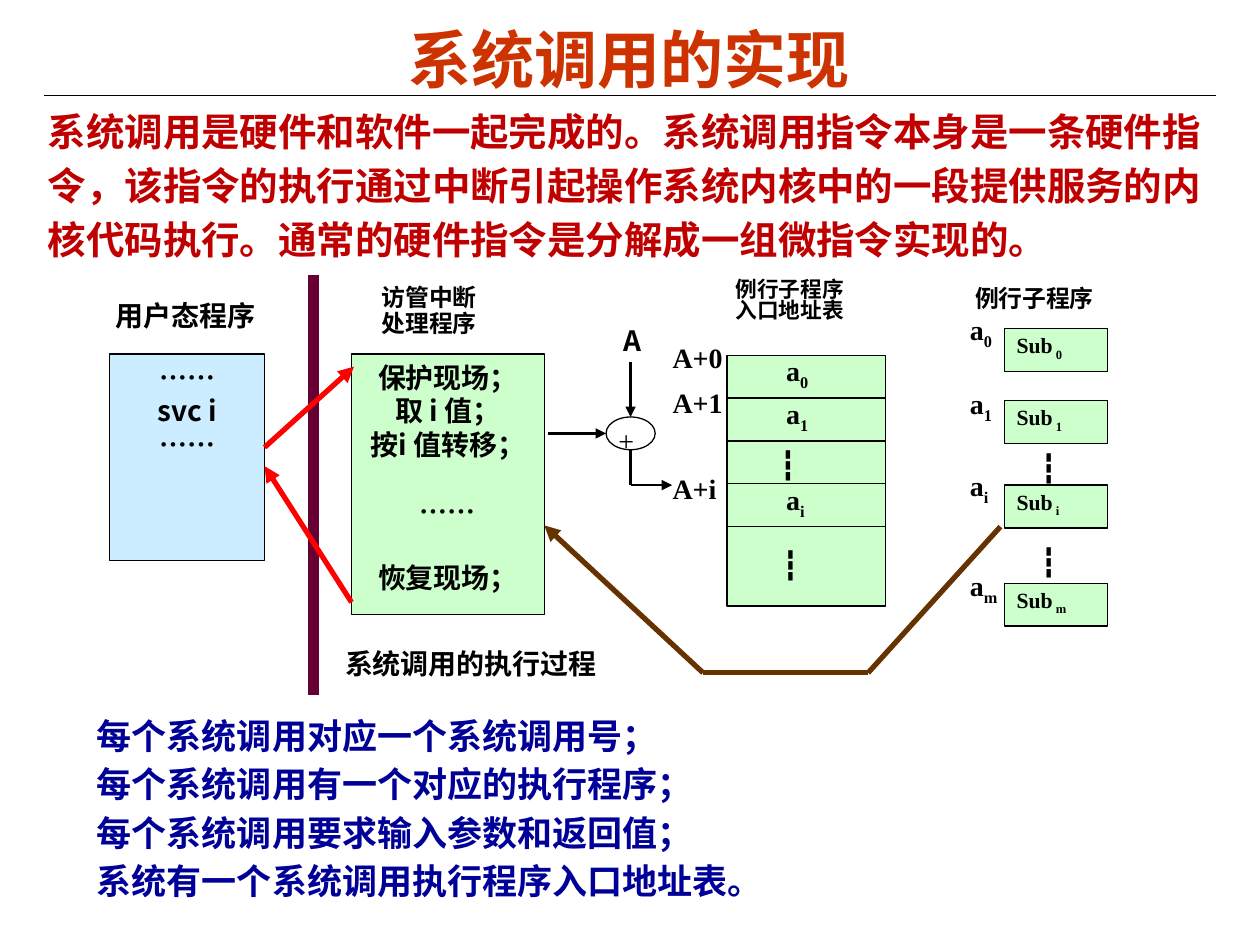
from pptx import Presentation
from pptx.dml.color import RGBColor
from pptx.enum.shapes import MSO_CONNECTOR as Link, MSO_SHAPE as Preset
from pptx.enum.text import MSO_ANCHOR as Anchor, PP_ALIGN as Align
from pptx.oxml.ns import qn
from pptx.util import Inches, Pt
from lxml.etree import SubElement

COLORS = {
    "black": "000000", "white": "FFFFFF", "title": "CC3300", "intro": "C00000",
    "points": "000099", "green": "CCFFCC", "blue": "CCECFF", "divider": "660033",
    "trap": "FF0000", "back": "663300",
}
SANS = "Noto Sans CJK SC"
SERIF = "Times New Roman"


def rgb(name):
    return RGBColor.from_string(COLORS[name])


def write(shape, lines, size=16, font=SANS, color="black", bold=True, align=Align.LEFT,
          inset=(0.1, 0.05), anchor=Anchor.TOP, wrap=True, before=None, gaps=None, spacing=None):
    frame = shape.text_frame
    across, down = Inches(inset[0]), Inches(inset[1])
    frame_format = {
        "word_wrap": wrap, "vertical_anchor": anchor, "margin_left": across,
        "margin_right": across, "margin_top": down, "margin_bottom": down,
    }
    for key, value in frame_format.items():
        setattr(frame, key, value)
    for index, line in enumerate(lines):
        paragraph = frame.paragraphs[0] if index == 0 else frame.add_paragraph()
        gap = (gaps or {}).get(index, before)
        paragraph_format = {
            "alignment": align, "line_spacing": spacing,
            "space_before": None if gap is None else Pt(gap),
        }
        for key, value in paragraph_format.items():
            setattr(paragraph, key, value)
        base, _, subscript = line.partition("_")
        for part in filter(None, (base, subscript)):
            run = paragraph.add_run()
            run.text = part
            for key, value in {"size": Pt(size), "name": font, "bold": bold}.items():
                setattr(run.font, key, value)
            run.font.color.rgb = rgb(color)
            properties = run._r.get_or_add_rPr()
            SubElement(properties, qn("a:ea")).set("typeface", SANS)
            if part is subscript:
                properties.set("baseline", "-25000")


def label(slide, left, top, width, height, lines, **style):
    box = slide.shapes.add_textbox(Inches(left), Inches(top), Inches(width), Inches(height))
    write(box, lines, **style)


def block(slide, left, top, width, height, fill, preset=Preset.RECTANGLE):
    shape = slide.shapes.add_shape(
        preset, Inches(left), Inches(top), Inches(width), Inches(height))
    shape.shadow.inherit = False
    shape.fill.solid()
    shape.fill.fore_color.rgb = rgb(fill)
    shape.line.color.rgb = rgb("black")
    shape.line.width = Pt(0.75)
    return shape


def link(slide, start, end, color="black", width=0.75, arrow=False):
    line = slide.shapes.add_connector(
        Link.STRAIGHT, *(Inches(value) for value in (*start, *end)))
    line.line.color.rgb = rgb(color)
    line.line.width = Pt(width)
    if arrow:
        SubElement(line.line._get_or_add_ln(), qn("a:tailEnd")).set("type", "triangle")
    SubElement(line._element.spPr, qn("a:effectLst"))


def heading(slide, left, top, width, height):
    link(slide, (left - 0.02, top + 0.65), (left + width + 0.03, top + 0.65))
    label(slide, left, top, width, height, ["系统调用的实现"], size=36, color="title",
          align=Align.CENTER, anchor=Anchor.MIDDLE)


def introduction(slide, left, top, width, height):
    label(slide, left, top, width, height, [
        "系统调用是硬件和软件一起完成的。系统调用指令本身是一条硬件指",
        "令，该指令的执行通过中断引起操作系统内核中的一段提供服务的内",
        "核代码执行。通常的硬件指令是分解成一组微指令实现的。",
    ], size=22, color="intro", inset=(0.11, 0.06), wrap=False, before=4.5)


def key_points(slide, left, top, width, height):
    label(slide, left, top, width, height, [
        "每个系统调用对应一个系统调用号；",
        "每个系统调用有一个对应的执行程序；",
        "每个系统调用要求输入参数和返回值；",
        "系统有一个系统调用执行程序入口地址表。",
    ], size=20, color="points", before=3.7)


def user_program(slide, left, top, width, height):
    label(slide, left - 0.05, top - 0.49, width + 0.1, 0.37, ["用户态程序"], wrap=False)
    program = block(slide, left, top, width, height, "blue")
    write(program, ["……", "svc i", "……"], align=Align.CENTER, gaps={0: 19})


def trap_handler(slide, left, top, width, height):
    label(slide, left + 0.14, top - 0.59, 1.15, 0.59, ["访管中断", "处理程序"],
          size=13.6, spacing=0.9)
    handler = block(slide, left, top, width, height, "green")
    write(handler, ["保护现场；", "取 i 值；", "按i 值转移；", "……", "恢复现场；"],
          align=Align.CENTER, gaps={3: 19, 4: 19})
    label(slide, left - 0.15, top + 2.27, 2.85, 0.37, ["系统调用的执行过程"], font=SERIF)


def address_adder(slide, left, top, width, height):
    center, middle, bottom = left + width / 2, top + height / 2, top + height
    block(slide, left, top, width, height, "white", Preset.OVAL)
    label(slide, left, top, 0.49, 0.39, ["+"], font=SERIF, bold=False)
    label(slide, left + 0.04, top - 0.79, 0.41, 0.37, ["A"], wrap=False)
    link(slide, (center, top - 0.44), (center, top), width=1.5, arrow=True)
    link(slide, (left - 0.46, middle), (left, middle), width=1.5, arrow=True)
    link(slide, (center, bottom), (center, bottom + 0.28), width=1.5)
    link(slide, (center, bottom + 0.28), (center + 0.33, bottom + 0.28), width=1.5, arrow=True)


def entry_table(slide, left, top, width, height):
    row = 0.34
    label(slide, left - 0.03, top - 0.64, 1.57, 0.57, ["例行子程序", "入口地址表"],
          size=12.4, spacing=0.8)
    block(slide, left, top, width, height, "green")
    for index in range(1, 5):
        link(slide, (left, top + index * row), (left + width, top + index * row))
    for index, entry in {0: "a_0", 1: "a_1", 3: "a_i"}.items():
        label(slide, left + 0.37, top - 0.06 + index * row, 0.49, 0.41, [entry], font=SERIF)
    for across, down in ((0.32, 0.68), (0.34, 1.48)):
        label(slide, left + across, top + down, 0.4, 0.37, ["┇"], font=SERIF)
    for address, down in {"A+0": -0.17, "A+1": 0.19, "A+i": 0.87}.items():
        label(slide, left - 0.53, top + down, 0.74, 0.37, [address], font=SERIF, wrap=False)


def routines(slide, left, top, width, height):
    label(slide, left - 0.33, top - 0.38, 1.64, 0.34, ["例行子程序"], size=13.6, spacing=0.9)
    places = {"0": (0, -0.18), "1": (0.57, -0.16), "i": (1.24, -0.18), "m": (2.02, -0.17)}
    for name, (down, shift) in places.items():
        routine = block(slide, left, top + down, width, height, "green")
        write(routine, [f"Sub_ {name}"], size=12.4, font=SERIF, spacing=0.8)
        label(slide, left - 0.37, top + down + shift, 0.53, 0.41, [f"a_{name}"],
              font=SERIF, wrap=False)
    for down in (0.92, 1.66):
        label(slide, left + 0.19, top + down, 0.43, 0.37, ["┇"], font=SERIF, bold=False)


def control_flow(slide, left, top, width, height):
    right, bottom = left + width, top + height
    divider = left + 0.39
    link(slide, (divider, top), (divider, top + 3.34), "divider", 6)
    link(slide, (left, top + 1.37), (left + 0.71, top + 0.73), "trap", 3, True)
    link(slide, (left + 0.69, top + 2.6), (left, top + 1.52), "trap", 3, True)
    link(slide, (right, top + 2), (right - 1.05, bottom), "back", 3)
    link(slide, (right - 1.05, bottom), (left + 3.48, bottom), "back", 3)
    link(slide, (left + 3.48, bottom), (left + 2.22, top + 1.99), "back", 3, True)


def main():
    deck = Presentation()
    deck.slide_width, deck.slide_height = Inches(10), Inches(7.5)
    slide = deck.slides.add_slide(deck.slide_layouts[6])
    heading(slide, 0.37, 0.11, 9.25, 0.7)
    introduction(slide, 0.27, 0.8, 9.4, 1.34)
    key_points(slide, 0.67, 5.62, 8.5, 1.72)
    entry_table(slide, 5.77, 2.82, 1.26, 1.99)
    trap_handler(slide, 2.79, 2.81, 1.53, 2.07)
    user_program(slide, 0.87, 2.81, 1.23, 1.64)
    address_adder(slide, 4.81, 3.31, 0.39, 0.26)
    routines(slide, 7.97, 2.61, 0.82, 0.34)
    control_flow(slide, 2.1, 2.18, 5.84, 3.16)
    deck.save("out.pptx")


if __name__ == "__main__":
    main()
